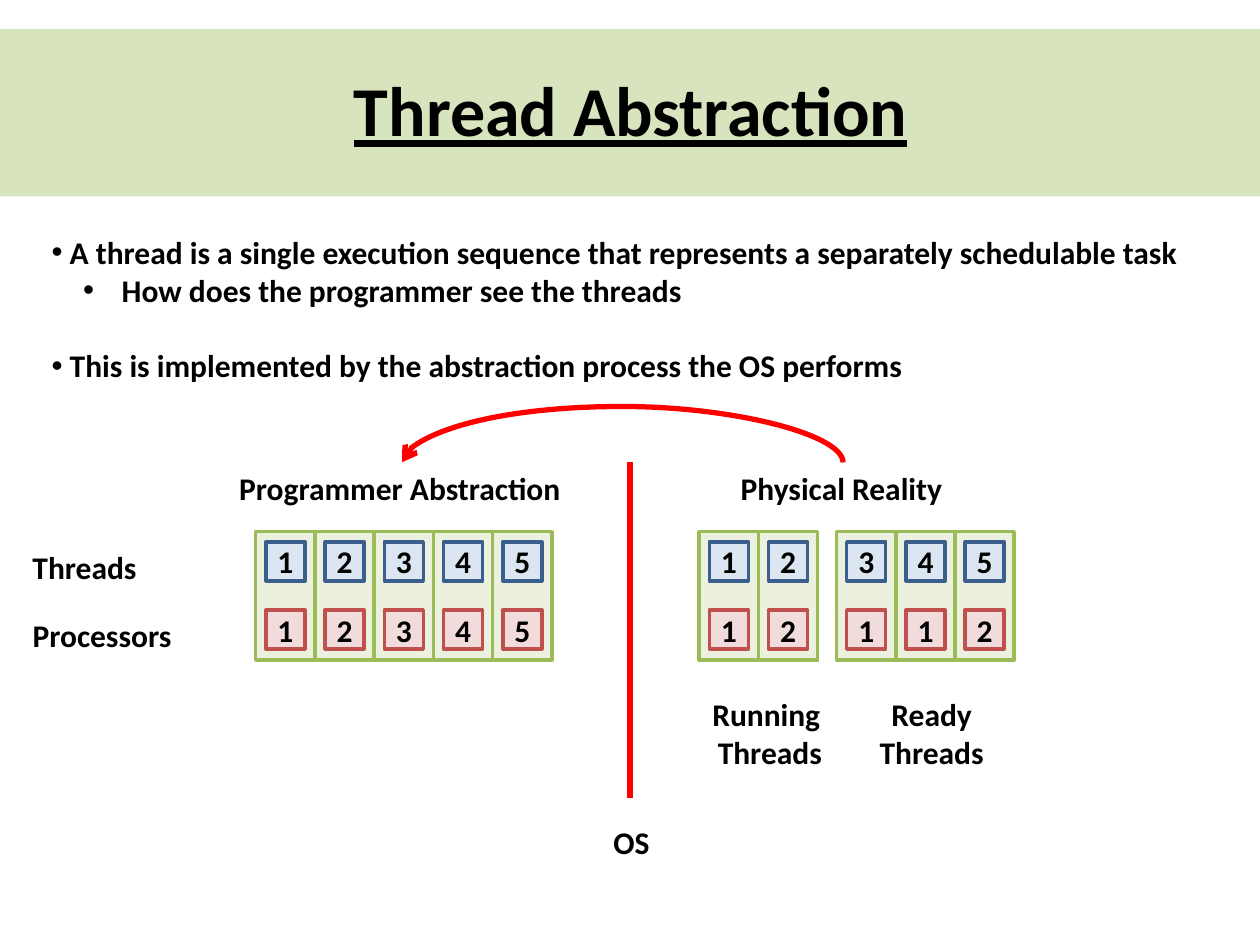
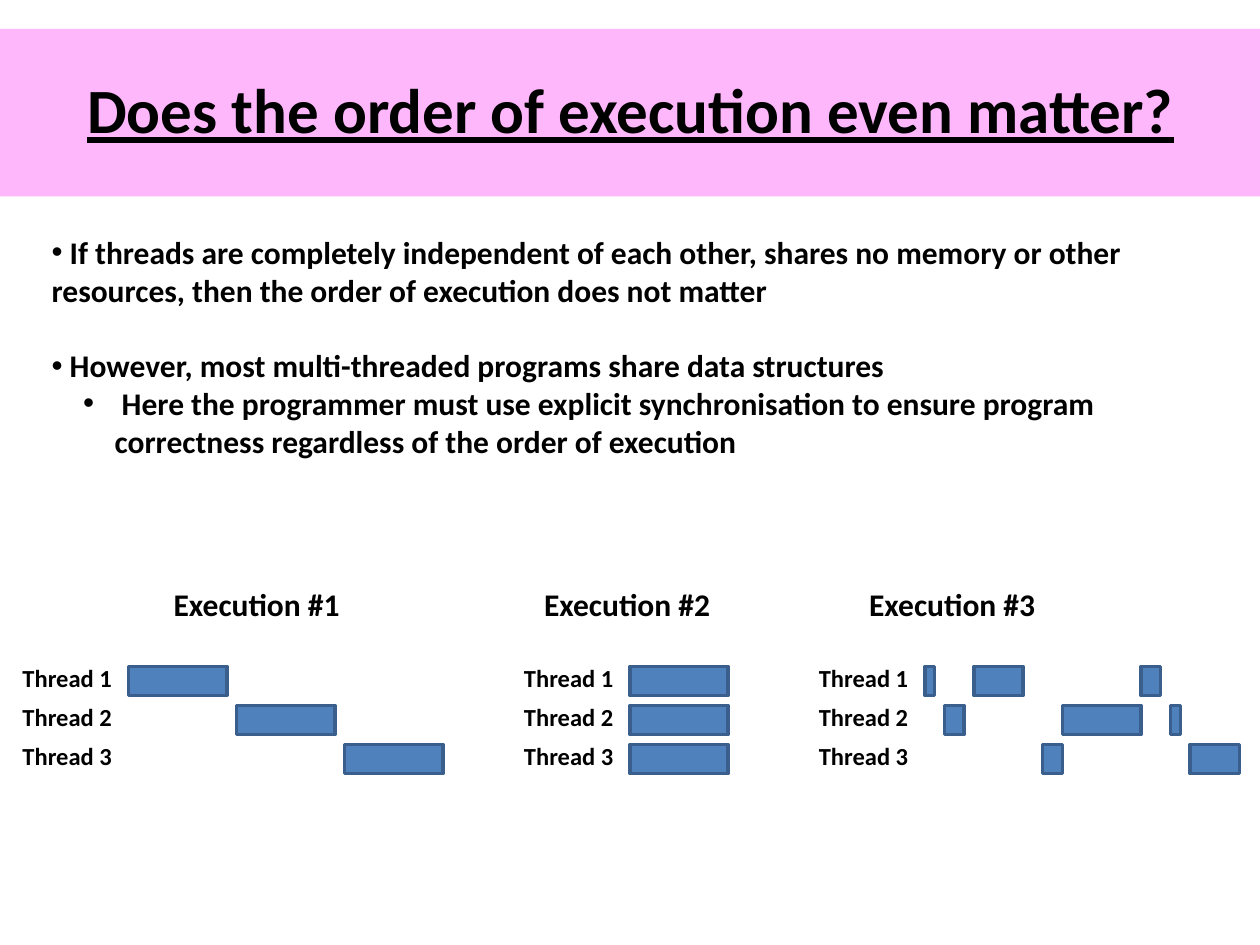
from lxml.etree import SubElement
from pptx import Presentation
from pptx.dml.color import RGBColor
from pptx.enum.shapes import MSO_CONNECTOR, MSO_SHAPE
from pptx.enum.text import MSO_ANCHOR, MSO_AUTO_SIZE, PP_ALIGN
from pptx.oxml.ns import qn
from pptx.util import Emu, Inches, Pt

FONT = "Calibri"
BLACK = RGBColor(0x00, 0x00, 0x00)
RED = RGBColor(0xFF, 0x00, 0x00)
GREEN_BAND = RGBColor(0xD7, 0xE4, 0xBD)
PINK_BAND = RGBColor(0xFF, 0xB7, 0xFC)
PALE_GREEN = RGBColor(0xEB, 0xF1, 0xDE)
GREEN = RGBColor(0x9B, 0xBB, 0x59)
PALE_BLUE = RGBColor(0xDC, 0xE6, 0xF2)
BLUE = RGBColor(0x4F, 0x81, 0xBD)
DARK_BLUE = RGBColor(0x3A, 0x5F, 0x8C)
PALE_RED = RGBColor(0xF2, 0xDC, 0xDB)
BRICK = RGBColor(0xC0, 0x50, 0x4D)

WIDTH, HEIGHT = 10, 7.5
BODY_SIZE, LANE_SIZE = 18, 14
BLANK_LINE = 21.5

ABSTRACTION = {
    "title": "Thread Abstraction",
    "title_size": 40,
    "band": GREEN_BAND,
    "body_height": 1.62,
    "points": [
        (0, 0, " A thread is a single execution sequence that represents a separately schedulable task"),
        (1, 0, " How does the programmer see the threads"),
        (0, BLANK_LINE, " This is implemented by the abstraction process the OS performs"),
    ],
}
ORDER = {
    "title": "Does the order of execution even matter?",
    "title_size": 36,
    "band": PINK_BAND,
    "body_height": 2.52,
    "points": [
        (0, 0, " If threads are completely independent of each other, shares no memory or other "
               "resources, then the order of execution does not matter"),
        (0, BLANK_LINE, " However, most multi-threaded programs share data structures"),
        (1, 0, " Here the programmer must use explicit synchronisation to ensure program "
               "correctness regardless of the order of execution"),
    ],
}

THREAD_GROUPS = [
    (2.03, "12345", "12345"),
    (5.55, "12", "12"),
    (6.64, "345", "112"),
]
CAPTIONS = [
    ("Programmer Abstraction", 1.8, 3.67, 2.77, PP_ALIGN.LEFT),
    ("Physical Reality", 5.78, 3.67, 1.81, PP_ALIGN.LEFT),
    ("Threads", 0.16, 4.3, 1.03, PP_ALIGN.LEFT),
    ("Processors", 0.16, 4.84, 1.31, PP_ALIGN.LEFT),
    ("Running \nThreads", 5.55, 5.47, 1.12, PP_ALIGN.CENTER),
    ("Ready\nThreads", 6.88, 5.47, 1.03, PP_ALIGN.CENTER),
    ("OS", 4.77, 6.48, 0.49, PP_ALIGN.LEFT),
]
PAIR_TOP, PAIR_WIDTH, PAIR_HEIGHT = 4.22, 0.47, 1.02
CHIP, CHIP_INSET, CHIP_ROW = 0.31, 0.08, 0.54

EXECUTIONS = [
    ("Execution #1", 1.28, 1.02, [[(0, 10)], [(11, 10)], [(22, 10)]]),
    ("Execution #2", 4.22, 5, [[(0, 10)], [(0, 10)], [(0, 10)]]),
    ("Execution #3", 6.8, 7.34, [
        [(0, 1), (5, 5), (22, 2)],
        [(2, 2), (14, 8), (25, 1)],
        [(12, 2), (27, 5)],
    ]),
]
TICK = 0.78 / 10
LANE_TOP, LANE_PITCH, BAR_HEIGHT = 5.29, 0.31, 0.23
LANE_LABEL_OFFSET = 0.94


def style_text(text_frame, text, size=BODY_SIZE, align=PP_ALIGN.LEFT, underline=None, anchor=MSO_ANCHOR.TOP):
    text_frame.text = text
    text_frame.vertical_anchor = anchor
    for paragraph in text_frame.paragraphs:
        paragraph.alignment = align
        style_font(paragraph.font, size, underline)


def style_font(font, size, underline=None):
    font.name, font.size, font.bold = FONT, Pt(size), True
    font.color.rgb = BLACK
    font.underline = underline


def place(part, left, top, width, height):
    part.left, part.top = Inches(left), Inches(top)
    part.width, part.height = Inches(width), Inches(height)


def add_label(slide, text, left, top, width, **text_format):
    size = text_format.get("size", BODY_SIZE)
    height = 0.1 + size * 1.22 / 72 * (text.count("\n") + 1)
    label = slide.shapes.add_textbox(Inches(left), Inches(top), Inches(width), Inches(height))
    label.text_frame.word_wrap = False
    style_text(label.text_frame, text, **text_format)


def add_block(slide, left, top, width, height, fill, outline=None):
    block = slide.shapes.add_shape(
        MSO_SHAPE.RECTANGLE, Inches(left), Inches(top), Inches(width), Inches(height))
    block.shadow.inherit = False
    block.fill.solid()
    block.fill.fore_color.rgb = fill
    if outline is None:
        block.line.fill.background()
    else:
        block.line.color.rgb = outline
        block.line.width = Pt(2)
    return block


def add_chip(slide, number, left, top, fill, outline):
    chip = add_block(slide, left, top, CHIP, CHIP, fill, outline)
    frame = chip.text_frame
    frame.margin_left = frame.margin_right = frame.margin_top = frame.margin_bottom = 0
    frame.word_wrap = False
    style_text(frame, number, align=PP_ALIGN.CENTER, anchor=MSO_ANCHOR.MIDDLE)


def add_red_line(slide, route, begin_x, begin_y, end_x, end_y):
    line = slide.shapes.add_connector(route, begin_x, begin_y, end_x, end_y)
    line.line.color.rgb = RED
    line.line.width = Pt(3)
    SubElement(line.element.spPr, qn("a:effectLst"))
    return line


def add_abstraction_arrow(slide):
    span, rise, thin = Inches(3.5), Inches(0.49), Emu(1588)
    left, top = Inches(4.94), Inches(3.67) - span // 2
    arrow = add_red_line(slide, MSO_CONNECTOR.CURVE, left, top, left + thin, top + span)
    properties = arrow.element.spPr
    frame = properties.find(qn("a:xfrm"))
    frame.set("rot", str(270 * 60000))
    frame.set("flipV", "1")
    geometry = properties.find(qn("a:prstGeom"))
    adjustments = geometry.find(qn("a:avLst"))
    if adjustments is None:
        adjustments = SubElement(geometry, qn("a:avLst"))
    bend = round(rise / thin * 100000)
    SubElement(adjustments, qn("a:gd"), name="adj1", fmla=f"val {bend}")
    SubElement(properties.find(qn("a:ln")), qn("a:tailEnd"), type="arrow")


def fill_points(body, points):
    frame = body.text_frame
    frame.auto_size = MSO_AUTO_SIZE.NONE
    frame.word_wrap = True
    for index, (level, space, text) in enumerate(points):
        paragraph = frame.paragraphs[0] if index == 0 else frame.add_paragraph()
        paragraph.text = text
        paragraph.level = level
        paragraph.space_before = Pt(space)
        settings = paragraph._p.get_or_add_pPr()
        settings.set("marL", str(Inches(0.5 * level)))
        settings.set("indent", str(-Inches(0.25 * level)))
        SubElement(settings, qn("a:buFont"), typeface="Arial")
        SubElement(settings, qn("a:buChar"), char="•")
        style_font(paragraph.font, BODY_SIZE)


def start_slide(deck, content):
    slide = deck.slides.add_slide(deck.slide_layouts[1])
    title, body = slide.shapes.title, slide.placeholders[1]
    band = add_block(slide, 0, 0.23, WIDTH, 1.33, content["band"])
    title.element.addprevious(band.element)
    place(title, 0.12, 0.39, 9.77, 0.94)
    title.text_frame.auto_size = MSO_AUTO_SIZE.NONE
    style_text(title.text_frame, content["title"], size=content["title_size"],
               align=PP_ALIGN.CENTER, underline=True, anchor=MSO_ANCHOR.MIDDLE)
    place(body, 0.31, 1.8, 9.38, content["body_height"])
    fill_points(body, content["points"])
    return slide


def build_abstraction(deck):
    slide = start_slide(deck, ABSTRACTION)
    for group_left, threads, processors in THREAD_GROUPS:
        for column, (thread, processor) in enumerate(zip(threads, processors)):
            left = group_left + column * PAIR_WIDTH
            add_block(slide, left, PAIR_TOP, PAIR_WIDTH, PAIR_HEIGHT, PALE_GREEN, GREEN)
            chip_left, chip_top = left + CHIP_INSET, PAIR_TOP + CHIP_INSET
            add_chip(slide, thread, chip_left, chip_top, PALE_BLUE, DARK_BLUE)
            add_chip(slide, processor, chip_left, chip_top + CHIP_ROW, PALE_RED, BRICK)
    add_red_line(slide, MSO_CONNECTOR.STRAIGHT,
                 Inches(WIDTH / 2), Inches(3.67), Inches(WIDTH / 2), Inches(6.33))
    for text, left, top, width, align in CAPTIONS:
        add_label(slide, text, left, top, width, align=align)
    add_abstraction_arrow(slide)


def build_order(deck):
    slide = start_slide(deck, ORDER)
    for heading, heading_left, track_left, lanes in EXECUTIONS:
        add_label(slide, heading, heading_left, 4.59, 1.53)
        for lane, bars in enumerate(lanes):
            top = LANE_TOP + lane * LANE_PITCH
            add_label(slide, f"Thread {lane + 1}", track_left - LANE_LABEL_OFFSET,
                      top - 0.08, 0.92, size=LANE_SIZE)
            for start, length in bars:
                add_block(slide, track_left + start * TICK, top, length * TICK,
                          BAR_HEIGHT, BLUE, DARK_BLUE)


def main():
    deck = Presentation()
    deck.slide_width, deck.slide_height = Inches(WIDTH), Inches(HEIGHT)
    build_abstraction(deck)
    build_order(deck)
    deck.save("out.pptx")


if __name__ == "__main__":
    main()
